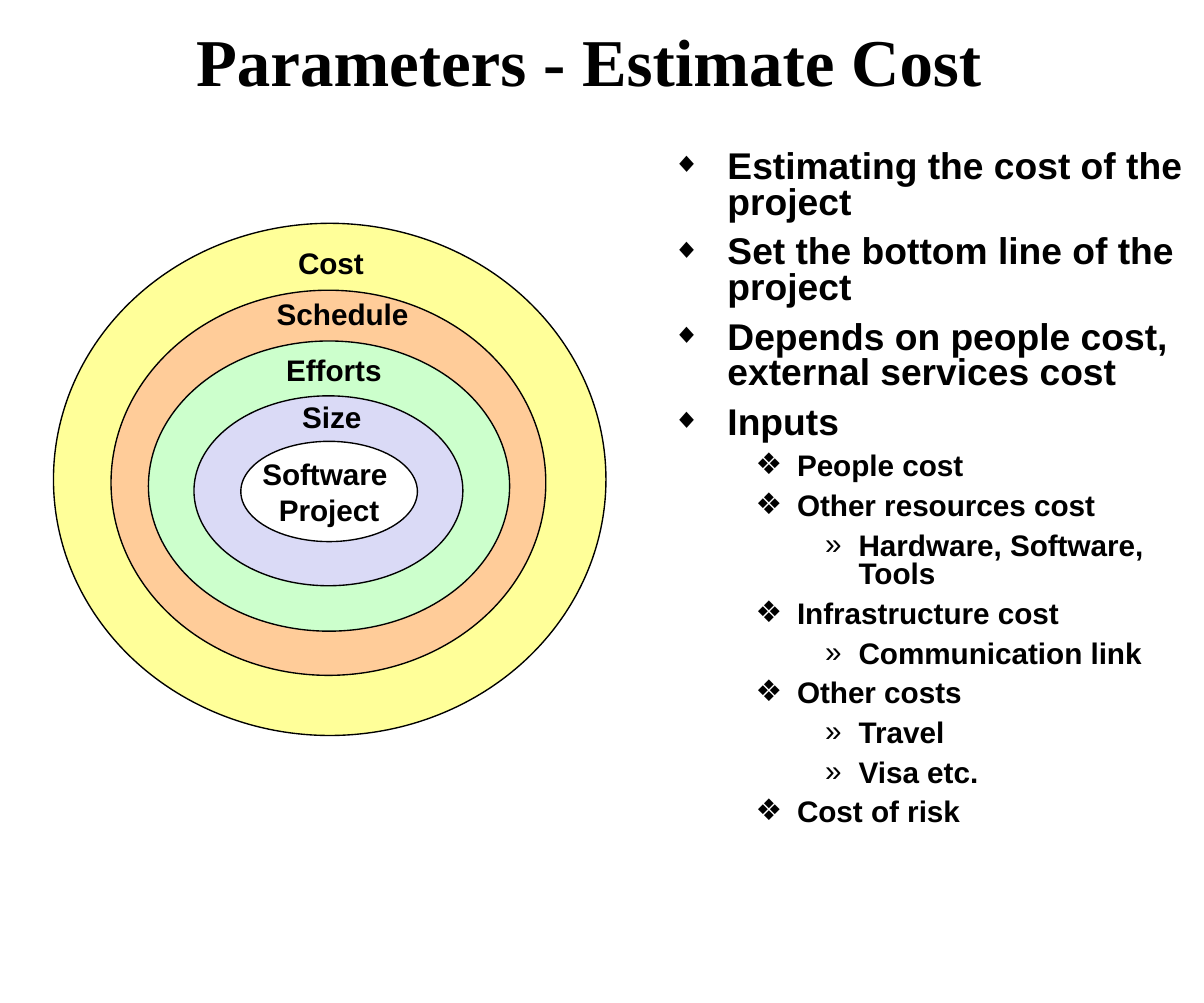
from typing import NamedTuple

from pptx import Presentation
from pptx.dml.color import RGBColor
from pptx.enum.shapes import MSO_SHAPE as Shape
from pptx.enum.text import MSO_ANCHOR as Anchor, MSO_AUTO_SIZE as AutoSize, PP_ALIGN as Align
from pptx.oxml import parse_xml
from pptx.oxml.ns import nsdecls
from pptx.util import Inches, Pt

BLACK = "000000"


class Box(NamedTuple):
    left: float
    top: float
    width: float
    height: float


class Ring(NamedTuple):
    label: str
    fill: str
    oval: Box
    label_box: Box


class Level(NamedTuple):
    bullet: str
    bullet_percent: int
    margin: float
    hanging: float
    size: float
    space_before: float


LEVELS = [
    Level("◆", 75, 0.41, 0.41, 20, 7.5),
    Level("❖", 100, 0.93, 0.31, 16, 6),
    Level("»", 100, 1.39, 0.25, 16, 6),
]

COST_POINTS = [
    (0, "Estimating the cost of the project"),
    (0, "Set the bottom line of the project"),
    (0, "Depends on people cost, external services cost"),
    (0, "Inputs"),
    (1, "People cost"),
    (1, "Other resources cost"),
    (2, "Hardware, Software, Tools"),
    (1, "Infrastructure cost"),
    (2, "Communication link"),
    (1, "Other costs"),
    (2, "Travel"),
    (2, "Visa etc."),
    (1, "Cost of risk"),
]

RINGS = [
    Ring("Cost", "FFFF99", Box(0.4, 1.67, 4.13, 3.83), Box(2.13, 1.78, 0.73, 0.37)),
    Ring("Schedule", "FFCC99", Box(0.83, 2.17, 3.25, 2.88), Box(1.97, 2.16, 1.22, 0.37)),
    Ring("Efforts", "CCFFCC", Box(1.11, 2.55, 2.7, 2.17), Box(2.04, 2.58, 0.95, 0.37)),
    Ring("Size", "DADAF6", Box(1.45, 2.96, 2.01, 1.42), Box(2.16, 2.93, 0.68, 0.37)),
]
CORE = Box(1.8, 3.3, 1.32, 0.75)


def color(hex_code: str) -> RGBColor:
    return RGBColor.from_string(hex_code)


def place(box: Box) -> list:
    return [Inches(length) for length in box]


def style(paragraph, size: float, font_name: str = "Arial") -> None:
    for run in paragraph.runs:
        run.font.name = font_name
        run.font.size = Pt(size)
        run.font.bold = True
        run.font.color.rgb = color(BLACK)


def add_bullet(paragraph, level: Level) -> None:
    properties = paragraph._p.get_or_add_pPr()
    properties.set("marL", str(Inches(level.margin)))
    properties.set("indent", str(-Inches(level.hanging)))
    ns = nsdecls("a")
    for xml in (
        f'<a:buClr {ns}><a:srgbClr val="{BLACK}"/></a:buClr>',
        f'<a:buSzPct {ns} val="{level.bullet_percent * 1000}"/>',
        f'<a:buFont {ns} typeface="Arial"/>',
        f'<a:buChar {ns} char="{level.bullet}"/>',
    ):
        properties.append(parse_xml(xml))


def add_title(shapes) -> None:
    frame = shapes.add_textbox(*place(Box(0.94, 0, 7.05, 0.97))).text_frame
    frame.word_wrap = True
    frame.vertical_anchor = Anchor.MIDDLE
    frame.text = "Parameters - Estimate Cost "
    title = frame.paragraphs[0]
    title.alignment = Align.CENTER
    title.line_spacing = 0.9
    style(title, 36, "Times New Roman")


def add_cost_points(shapes) -> None:
    frame = shapes.add_textbox(*place(Box(4.93, 1.08, 4.07, 5.58))).text_frame
    frame.word_wrap = True
    frame.text = "\n".join(text for _, text in COST_POINTS)
    for index, (depth, _) in enumerate(COST_POINTS):
        point, level = frame.paragraphs[index], LEVELS[depth]
        point.level = depth
        add_bullet(point, level)
        point.line_spacing = 0.8
        point.space_before = Pt(level.space_before if index else 0)
        style(point, level.size)


def add_oval(shapes, box: Box, fill: str):
    oval = shapes.add_shape(Shape.OVAL, *place(box))
    oval.shadow.inherit = False
    oval.fill.solid()
    oval.fill.fore_color.rgb = color(fill)
    oval.line.color.rgb = color(BLACK)
    oval.line.width = Pt(0.75)
    return oval


def add_ring(shapes, ring: Ring) -> None:
    add_oval(shapes, ring.oval, ring.fill)
    frame = shapes.add_textbox(*place(ring.label_box)).text_frame
    frame.word_wrap = False
    frame.auto_size = AutoSize.SHAPE_TO_FIT_TEXT
    frame.text = ring.label
    style(frame.paragraphs[0], 16)


def add_core(shapes) -> None:
    frame = add_oval(shapes, CORE, "FFFFFF").text_frame
    frame.word_wrap = False
    frame.vertical_anchor = Anchor.MIDDLE
    frame.text = "Software \nProject"
    for line in frame.paragraphs:
        line.alignment = Align.CENTER
        style(line, 16)


def main() -> None:
    deck = Presentation()
    deck.slide_width, deck.slide_height = Inches(9), Inches(7.5)
    slide = deck.slides.add_slide(deck.slide_layouts[6])
    add_title(slide.shapes)
    add_cost_points(slide.shapes)
    diagram = slide.shapes.add_group_shape().shapes
    for ring in RINGS:
        add_ring(diagram, ring)
    add_core(diagram)
    deck.save("out.pptx")


if __name__ == "__main__":
    main()
